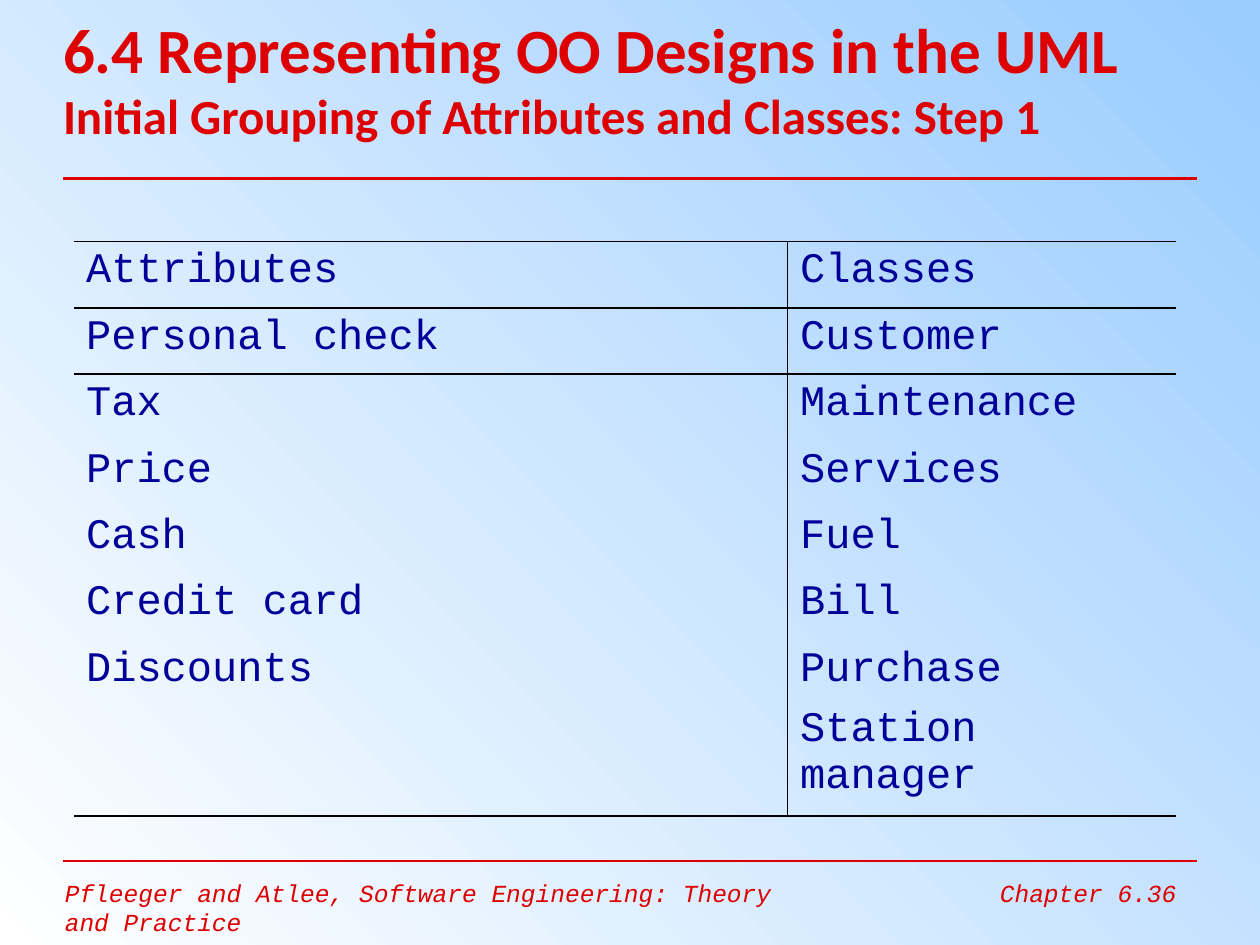
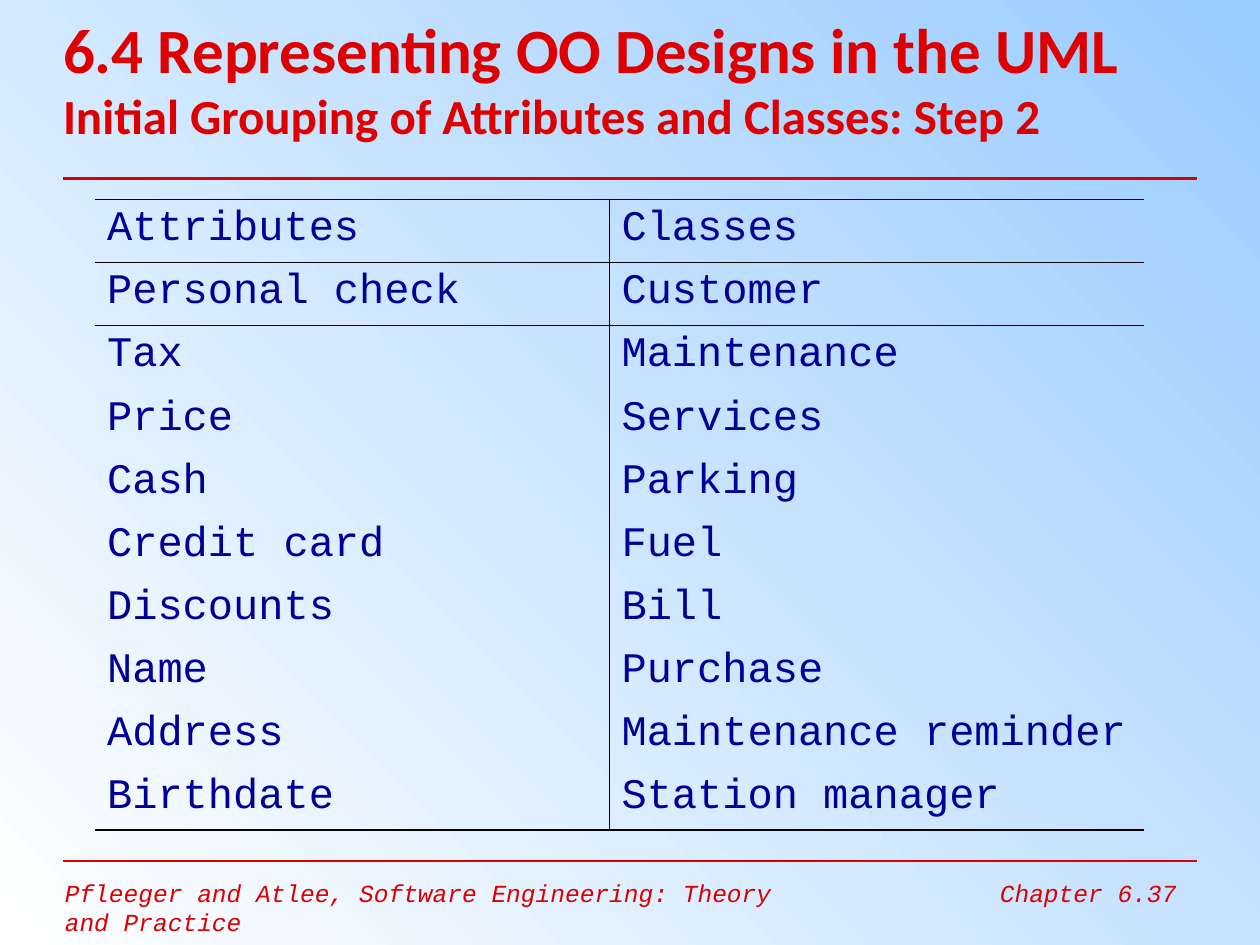
"""Build two slides that sort attributes and classes into tables."""
from itertools import zip_longest

from lxml import etree
from pptx import Presentation
from pptx.dml.color import RGBColor
from pptx.enum.shapes import MSO_CONNECTOR
from pptx.enum.text import MSO_ANCHOR, PP_ALIGN
from pptx.oxml.ns import qn
from pptx.util import Inches, Pt

LINE = MSO_CONNECTOR.STRAIGHT
MIDDLE, TOP = MSO_ANCHOR.MIDDLE, MSO_ANCHOR.TOP
LEFT, RIGHT = PP_ALIGN.LEFT, PP_ALIGN.RIGHT
COLS, ROWS = 120, 90
UNIT = Inches(10) // COLS
HUES = {"red": "DE0000", "navy": "000099", "black": "000000",
        "sky": "99CCFF", "white": "FFFFFF"}
HEAD, MONO = "Calibri", "Courier New"
PLAIN = "{2D5ABB26-0587-4C30-8999-92F81FD0307C}"
THIN, THICK = 0.45, 1.08
TITLE = "6.4 Representing OO Designs in the UML"
TOPIC = "Initial Grouping of Attributes and Classes: Step {}"
BOOK = "Pfleeger and Atlee, Software Engineering: Theory and Practice"

STEPS = [
    {"page": "6.36", "spot": (7, 23), "widths": (68, 37), "high": 6.33,
     "left": ["Personal check", "Tax", "Price", "Cash", "Credit card",
              "Discounts"],
     "right": ["Customer", "Maintenance", "Services", "Fuel", "Bill",
               "Purchase\nStation manager"]},
    {"page": "6.37", "spot": (9, 19), "widths": (49, 51), "high": 6,
     "left": ["Personal check", "Tax", "Price", "Cash", "Credit card",
              "Discounts", "Name", "Address", "Birthdate"],
     "right": ["Customer", "Maintenance", "Services", "Parking", "Fuel",
               "Bill", "Purchase", "Maintenance reminder",
               "Station manager"]},
]


def grid(*counts):
    """Turn grid counts into slide lengths."""
    return [int(count * UNIT) for count in counts]


def rgb(hue):
    """Look up a colour by name."""
    return RGBColor.from_string(HUES[hue])


def style(font, name, size, hue, bold=False, italic=False):
    """Set the look of a font."""
    font.name, font.size, font.color.rgb = name, Pt(size), rgb(hue)
    font.bold, font.italic = bold, italic


def wash(slide):
    """Fade the background from the top right corner."""
    fill = slide.background.fill
    fill.gradient()
    fill.gradient_angle = 225
    for stop, hue in zip(fill.gradient_stops, ("sky", "white")):
        stop.color.rgb = rgb(hue)


def rule(slide, row, width):
    """Draw a red line across the slide."""
    line = slide.shapes.add_connector(LINE, *grid(6, row, COLS - 6, row))
    line.line.color.rgb, line.line.width = rgb("red"), Pt(width)
    etree.SubElement(line._element.spPr, qn("a:effectLst"))


def box(slide, spot, anchor=TOP):
    """Add a wrapping text box and return its frame."""
    frame = slide.shapes.add_textbox(*grid(*spot)).text_frame
    frame.word_wrap, frame.vertical_anchor = True, anchor
    return frame


def title(slide, topic):
    """Write the two title lines."""
    frame = box(slide, (6, 0, 111, 14.75), MIDDLE)
    frame.margin_left = frame.margin_right = 0
    frame.margin_top = frame.margin_bottom = 0
    para = frame.paragraphs[0]
    style(para.font, HEAD, 36, "red", bold=True)
    para.add_run().text = TITLE
    para.add_line_break()
    run = para.add_run()
    run.text, run.font.size = topic, Pt(28)


def foot(slide, text, spot, align):
    """Write one footer note."""
    para = box(slide, spot).paragraphs[0]
    para.text, para.alignment = text, align
    style(para.font, MONO, 14, "red", italic=True)


def edge(cell, side, width):
    """Draw one border of a cell."""
    line = etree.SubElement(cell._tc.get_or_add_tcPr(), qn(f"a:ln{side}"),
                            w=str(Pt(width)))
    fill = etree.SubElement(line, qn("a:solidFill"))
    etree.SubElement(fill, qn("a:srgbClr"), val=HUES["black"])


def fill_cell(cell, text, sides):
    """Write a cell and draw its borders."""
    cell.text = text
    for para in cell.text_frame.paragraphs:
        para.space_before = Pt(7)
        style(para.font, MONO, 24, "navy")
    for side, width in sides:
        edge(cell, side, width)
    cell.fill.background()


def lists(slide, step):
    """Set attributes and classes side by side."""
    pairs = [("Attributes", "Classes"),
             *zip_longest(step["left"], step["right"], fillvalue="")]
    last = len(pairs) - 1
    size = (sum(step["widths"]), step["high"] * len(pairs))
    table = slide.shapes.add_table(len(pairs), 2,
                                   *grid(*step["spot"], *size)).table
    table.first_row = table.horz_banding = False
    table._tbl.tblPr.find(qn("a:tableStyleId")).text = PLAIN
    for col, width in zip(table.columns, grid(*step["widths"])):
        col.width = width
    for i, pair in enumerate(pairs):
        for j, text in enumerate(pair):
            sides = [("L" if j else "R", THIN)]
            if i < 2:
                sides.append(("T", THICK))
            if i in (0, last):
                sides.append(("B", THICK))
            fill_cell(table.cell(i, j), text, sides)


def main():
    """Build and save both slides."""
    deck = Presentation()
    deck.slide_width, deck.slide_height = grid(COLS, ROWS)
    for number, step in enumerate(STEPS, 1):
        slide = deck.slides.add_slide(deck.slide_layouts[6])
        wash(slide)
        foot(slide, BOOK, (5, 83, 72, 4), LEFT)
        rule(slide, 82, 0.75)
        rule(slide, 17, 1.5)
        foot(slide, f"Chapter {step['page']}", (94, 83, 19.25, 4.5), RIGHT)
        title(slide, TOPIC.format(number))
        lists(slide, step)
    deck.save("out.pptx")


if __name__ == "__main__":
    main()
